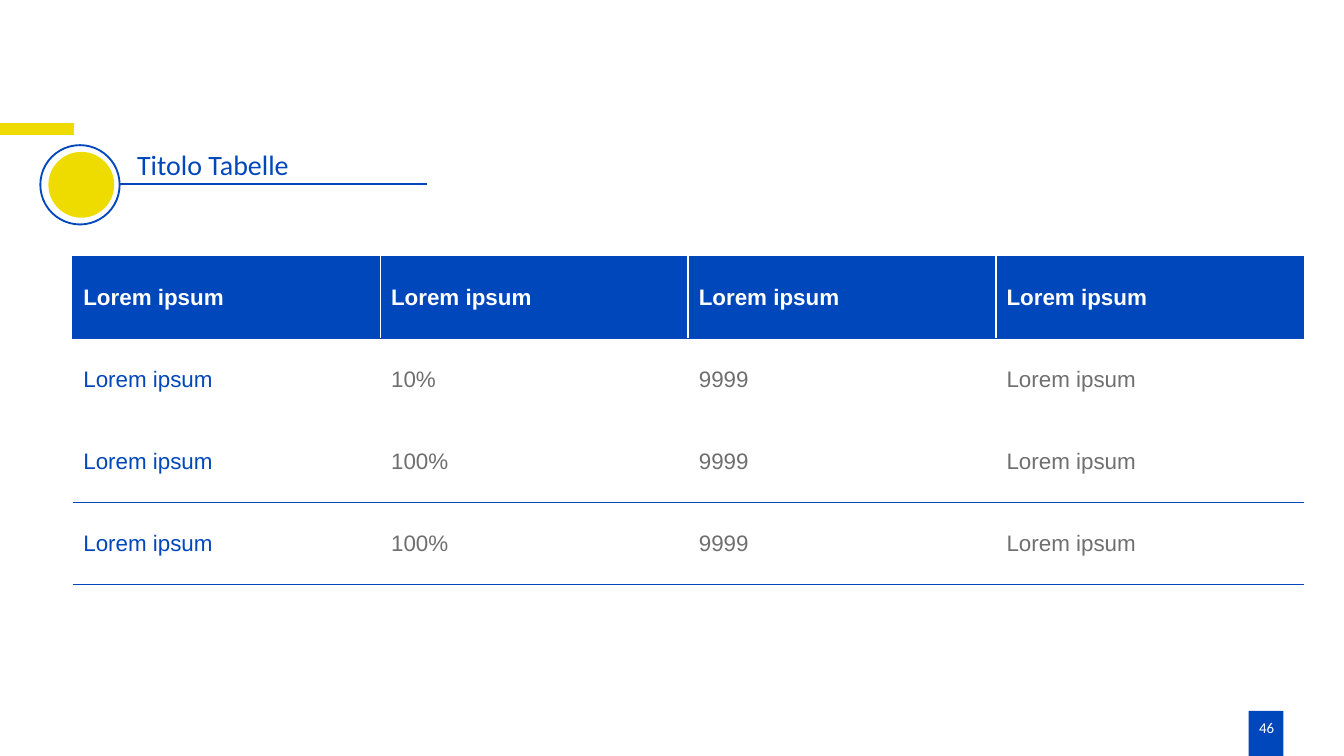
from dataclasses import dataclass
from typing import Any, Optional

from lxml.etree import SubElement
from pptx import Presentation
from pptx.dml.color import RGBColor as Rgb
from pptx.enum.shapes import MSO_CONNECTOR as Connector, MSO_SHAPE as Shape
from pptx.enum.text import MSO_ANCHOR as Anchor, PP_ALIGN as Align
from pptx.oxml.ns import qn
from pptx.util import Inches, Pt

COLORS = {"blue": "0047BB", "yellow": "EEDC00", "white": "FFFFFF", "gray": "706F6F"}
HEADER = ["Lorem ipsum"] * 4
ROWS = [HEADER] + [["Lorem ipsum", share, "9999", "Lorem ipsum"] for share in ("10%", "100%", "100%")]
RULED_EDGES = (0, 1, 3, 4)
COLUMN_WIDTH, ROW_HEIGHT = 2.29, 0.61


@dataclass
class Block:
    kind: Any
    left: float
    top: float
    width: float
    height: float
    fill: str
    line: Optional[str] = None


@dataclass
class Rule:
    left: float
    right: float
    y: float
    color: str
    weight: float


@dataclass
class Label:
    text: str
    left: float
    top: float
    width: float
    height: float
    size: float
    color: str
    align: Any
    insets: tuple[float, float]


RULES = [Rule(0, 0.55, 0.96, "yellow", 6), Rule(0.88, 3.18, 1.37, "blue", 1)]
BLOCKS = [
    Block(Shape.RECTANGLE, 9.29, 5.29, 0.26, 0.34, "blue"),
    Block(Shape.OVAL, 0.3, 1.08, 0.59, 0.59, "white", "blue"),
    Block(Shape.OVAL, 0.36, 1.13, 0.49, 0.49, "yellow"),
]
LABELS = [
    Label("Titolo Tabelle", 0.95, 1.06, 2.44, 0.33, 15, "blue", Align.LEFT, (0.07, 0.04)),
    Label("46", 9.32, 5.35, 0.21, 0.13, 8, "white", Align.CENTER, (0, 0)),
]


def rgb(name: str) -> Rgb:
    """Return the named colour."""
    return Rgb.from_string(COLORS[name])


def assign(target: Any, values: dict[str, Any]) -> None:
    """Set each format value on the target."""
    for name, value in values.items():
        setattr(target, name, value)


def write(para: Any, text: str, color: str, **font: Any) -> None:
    """Add a formatted span to a paragraph."""
    span = para.add_run()
    span.text = text
    assign(span.font, font)
    span.font.color.rgb = rgb(color)


def draw_rule(page: Any, rule: Rule) -> None:
    """Draw a horizontal line without a shadow."""
    y = Inches(rule.y)
    line = page.shapes.add_connector(Connector.STRAIGHT, Inches(rule.left), y, Inches(rule.right), y)
    line.line.color.rgb = rgb(rule.color)
    line.line.width = Pt(rule.weight)
    SubElement(line._element.spPr, qn("a:effectLst"))


def draw_block(page: Any, block: Block) -> None:
    """Draw a filled preset shape."""
    place = map(Inches, (block.left, block.top, block.width, block.height))
    shape = page.shapes.add_shape(block.kind, *place)
    shape.shadow.inherit = False
    shape.fill.solid()
    shape.fill.fore_color.rgb = rgb(block.fill)
    if block.line:
        shape.line.color.rgb = rgb(block.line)
        shape.line.width = Pt(1)
    else:
        shape.line.fill.background()


def draw_label(page: Any, label: Label) -> None:
    """Draw a text box with one line of text."""
    place = map(Inches, (label.left, label.top, label.width, label.height))
    frame = page.shapes.add_textbox(*place).text_frame
    across, down = map(Inches, label.insets)
    assign(frame, {"word_wrap": True, "margin_left": across, "margin_right": across,
                   "margin_top": down, "margin_bottom": down})
    para = frame.paragraphs[0]
    para.alignment = label.align
    write(para, label.text, label.color, size=Pt(label.size), name="Calibri")


def set_border(cell: Any, side: str, color: Optional[str], weight: float) -> None:
    """Give one side of a cell a line, or none."""
    line = SubElement(cell._tc.get_or_add_tcPr(), qn(f"a:ln{side}"), w=str(Pt(weight)))
    if color:
        fill = SubElement(line, qn("a:solidFill"))
        SubElement(fill, qn("a:srgbClr"), val=COLORS[color])
    else:
        SubElement(line, qn("a:noFill"))


def format_cell(cell: Any, row: int, column: int, text: str) -> None:
    """Fill, rule and write one table cell."""
    header, last = row == 0, len(HEADER) - 1
    inner = "white" if header else None
    outer = "blue" if header else None
    set_border(cell, "L", inner if column else outer, 1 if column else 0.75)
    set_border(cell, "R", inner if column < last else outer, 1 if column < last else 0.75)
    for side, edge in (("T", row), ("B", row + 1)):
        set_border(cell, side, "blue" if edge in RULED_EDGES else None, 0.75)
    if header:
        cell.fill.solid()
        cell.fill.fore_color.rgb = rgb("blue")
    else:
        cell.fill.background()
    assign(cell, {"vertical_anchor": Anchor.MIDDLE,
                  "margin_left": Inches(0.08), "margin_right": Inches(0.08),
                  "margin_top": Inches(0.04), "margin_bottom": Inches(0.04)})
    color = "white" if header else "gray" if column else "blue"
    write(cell.text_frame.paragraphs[0], text, color, size=Pt(12), name="Arial", bold=header)


def draw_table(page: Any) -> None:
    """Draw the table with a solid header and ruled rows."""
    width, height = COLUMN_WIDTH * len(HEADER), ROW_HEIGHT * len(ROWS)
    place = map(Inches, (0.54, 1.91, width, height))
    table = page.shapes.add_table(len(ROWS), len(HEADER), *place).table
    table.horz_banding = False
    for column in table.columns:
        column.width = Inches(COLUMN_WIDTH)
    for row, texts in enumerate(ROWS):
        table.rows[row].height = Inches(ROW_HEIGHT)
        for column, text in enumerate(texts):
            format_cell(table.cell(row, column), row, column, text)


def main() -> None:
    """Build the slide and save it."""
    deck = Presentation()
    width = Inches(10)
    assign(deck, {"slide_width": width, "slide_height": width * 9 // 16})
    page = deck.slides.add_slide(deck.slide_layouts[6])
    for rule in RULES:
        draw_rule(page, rule)
    for block in BLOCKS:
        draw_block(page, block)
    for label in LABELS:
        draw_label(page, label)
    draw_table(page)
    deck.save("out.pptx")


if __name__ == "__main__":
    main()
